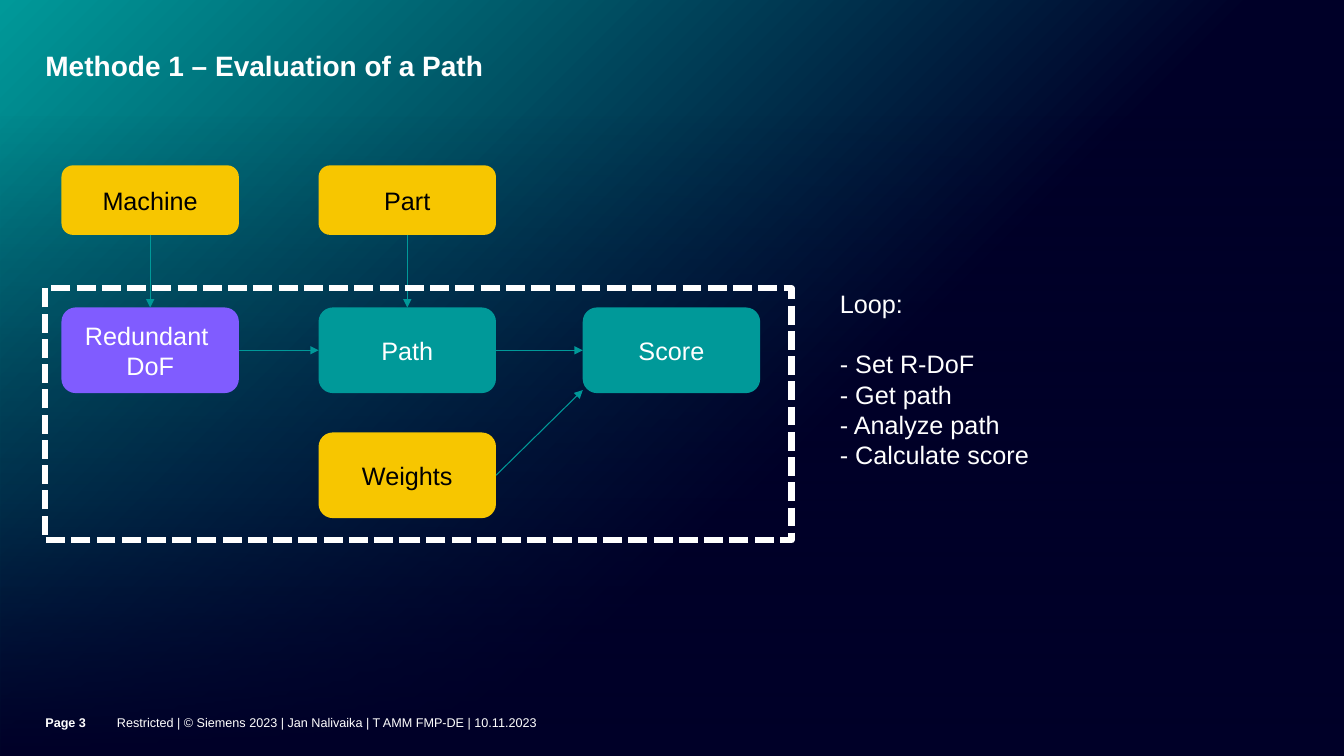
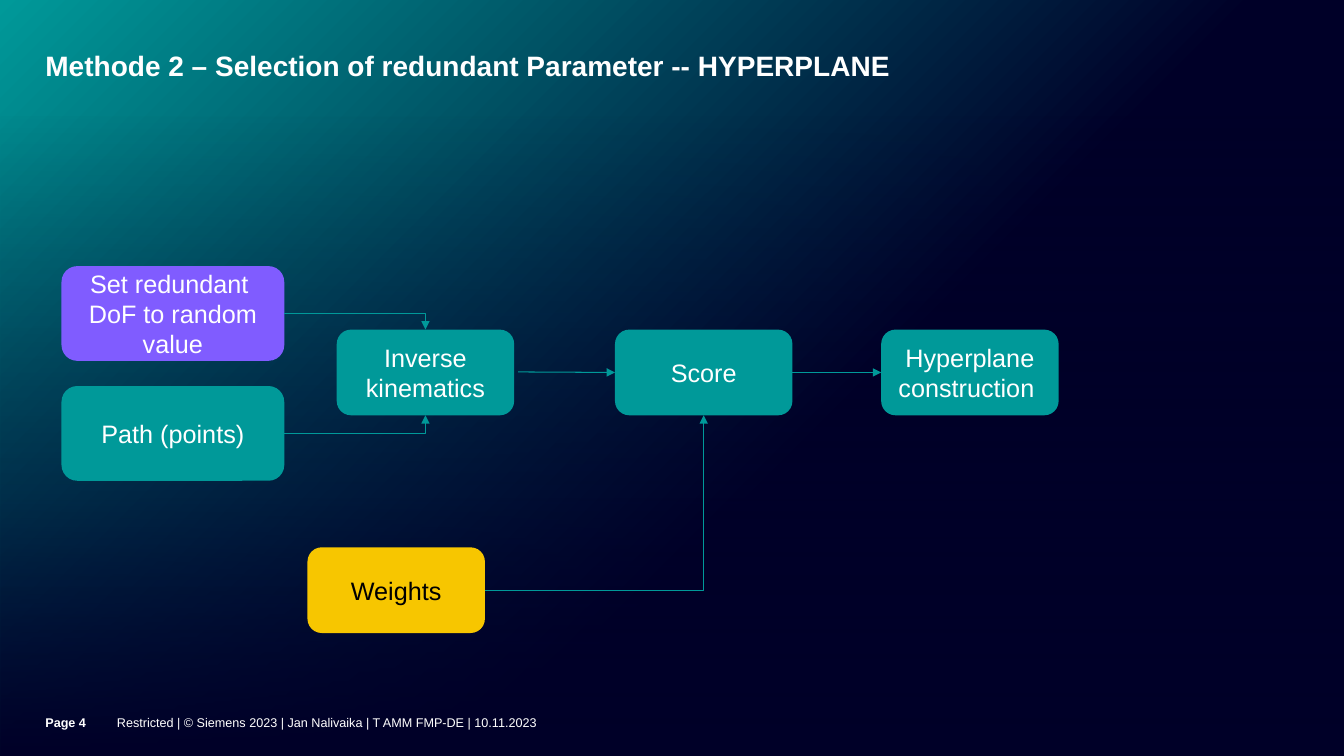
from lxml.etree import SubElement, fromstring
from pptx import Presentation
from pptx.dml.color import RGBColor
from pptx.enum.dml import MSO_LINE
from pptx.enum.shapes import MSO_CONNECTOR, MSO_SHAPE
from pptx.enum.text import MSO_ANCHOR, MSO_AUTO_SIZE, PP_ALIGN
from pptx.oxml.ns import nsdecls, qn
from pptx.util import Inches, Pt

NIGHT, TEAL, VIOLET, YELLOW = "000028", "009999", "805CFF", "F7C600"
WHITE, BLACK = "FFFFFF", "000000"
TOP, LEFT, BOTTOM, RIGHT = range(4)
FOOTER = "Restricted | © Siemens 2023 | Jan Nalivaika | T AMM FMP-DE | 10.11.2023"


def color(value):
    """Turn a hex string into a colour."""
    return RGBColor.from_string(value)


def inches(*lengths):
    """Turn plain numbers into lengths."""
    return [Inches(length) for length in lengths]


def set_gradient(fill, element, stops, direction):
    """Fill with (position, colour, opacity) stops in per cent."""
    fill.gradient()
    stop_list = "".join(
        f'<a:gs pos="{position * 1000}"><a:srgbClr val="{tone}">'
        f'<a:alpha val="{opacity * 1000}"/></a:srgbClr></a:gs>'
        for position, tone, opacity in stops)
    gradient = fromstring(
        f'<a:gradFill {nsdecls("a")} rotWithShape="1">'
        f'<a:gsLst>{stop_list}</a:gsLst>{direction}</a:gradFill>')
    default = element.find(".//" + qn("a:gradFill"))
    default.getparent().replace(default, gradient)


class Deck:
    """Hold the shared style and the current slide."""

    def __init__(self):
        """Start a wide presentation with the shared background."""
        self.presentation = Presentation()
        self.presentation.slide_width = Inches(13.33)
        self.presentation.slide_height = Inches(7.5)
        self.slide = None
        master = self.presentation.slide_master
        set_gradient(
            master.background.fill, master.element,
            [(40, NIGHT, 100), (100, TEAL, 100)],
            '<a:path path="circle"><a:fillToRect l="100000" t="100000"/></a:path>')

    def new_slide(self, title, page):
        """Add a slide with its title, dark veil and footer."""
        self.slide = self.presentation.slides.add_slide(
            self.presentation.slide_layouts[5])
        heading = self.slide.shapes.title
        heading.left, heading.top, heading.width, heading.height = inches(
            0.45, 0.52, 10.79, 0.63)
        self.fill_text(heading, [title], 20, bold=True, insets=(0, 0, 0.35, 0.02))
        heading.text_frame.paragraphs[0].line_spacing = 0.9
        veil = self.shape(MSO_SHAPE.RECTANGLE, 0, 1.15, 13.33, 6.35)
        set_gradient(
            veil.fill, veil.element,
            [(0, NIGHT, 100), (40, NIGHT, 50), (100, NIGHT, 0)],
            '<a:lin ang="16200000" scaled="0"/>')
        for left, width, line, bold in ((1.16, 10.08, FOOTER, False),
                                        (0.45, 0.71, f"Page {page}", True)):
            self.text(left, 6.9, width, 0.6, [line], size=9, bold=bold,
                      anchor=MSO_ANCHOR.MIDDLE, insets=(0, 0, 0, 0.07))

    def fill_text(self, holder, lines, size, tone=WHITE, bold=False,
                  align=PP_ALIGN.LEFT, anchor=MSO_ANCHOR.TOP, insets=(0, 0, 0, 0)):
        """Put one paragraph per line into a shape."""
        frame = holder.text_frame
        frame.word_wrap = True
        frame.auto_size = MSO_AUTO_SIZE.NONE
        frame.vertical_anchor = anchor
        (frame.margin_left, frame.margin_top,
         frame.margin_right, frame.margin_bottom) = inches(*insets)
        for index, line in enumerate(lines):
            paragraph = frame.add_paragraph() if index else frame.paragraphs[0]
            paragraph.alignment = align
            run = paragraph.add_run()
            run.text = line
            run.font.name = "Arial"
            run.font.size = Pt(size)
            run.font.bold = bold
            run.font.color.rgb = color(tone)
        return frame

    def text(self, left, top, width, height, lines, size=18, **style):
        """Add a text box."""
        box = self.slide.shapes.add_textbox(*inches(left, top, width, height))
        return self.fill_text(box, lines, size, **style)

    def shape(self, preset, *place):
        """Add a plain shape without line or shadow."""
        shape = self.slide.shapes.add_shape(preset, *inches(*place))
        shape.shadow.inherit = False
        shape.line.fill.background()
        return shape

    def step(self, left, top, *lines, fill=TEAL, width=1.76, height=0.85):
        """Add a rounded box of the flow."""
        step = self.shape(MSO_SHAPE.ROUNDED_RECTANGLE, left, top, width, height)
        step.fill.solid()
        step.fill.fore_color.rgb = color(fill)
        self.fill_text(step, lines, 18, tone=BLACK if fill == YELLOW else WHITE,
                       align=PP_ALIGN.CENTER, anchor=MSO_ANCHOR.MIDDLE,
                       insets=(0.12, 0.08, 0.12, 0.08))
        return step

    def frame(self, *place):
        """Add a dashed outline."""
        outline = self.shape(MSO_SHAPE.RECTANGLE, *place)
        outline.fill.background()
        outline.line.color.rgb = color(WHITE)
        outline.line.width = Pt(4.5)
        outline.line.dash_style = MSO_LINE.SQUARE_DOT

    def arrow(self, start=None, end=None, points=(0, 0, 0, 0), elbow=False):
        """Add an arrow between (step, side) pairs or free points."""
        kind = MSO_CONNECTOR.ELBOW if elbow else MSO_CONNECTOR.STRAIGHT
        arrow = self.slide.shapes.add_connector(kind, *inches(*points))
        if start:
            arrow.begin_connect(*start)
        if end:
            arrow.end_connect(*end)
        arrow.line.color.rgb = color(TEAL)
        arrow.line.width = Pt(0.75)
        properties = arrow.element.spPr
        if elbow:
            properties.find(qn("a:prstGeom")).set("prst", "bentConnector2")
        SubElement(properties.find(qn("a:ln")), qn("a:tailEnd"), type="triangle")
        SubElement(properties, qn("a:effectLst"))


def evaluation_slide(deck):
    """Show how a path is evaluated."""
    deck.new_slide("Methode 1 – Evaluation of a Path", 3)
    machine = deck.step(0.61, 1.64, "Machine", fill=YELLOW, height=0.69)
    part = deck.step(3.16, 1.64, "Part", fill=YELLOW, height=0.69)
    redundancy = deck.step(0.61, 3.05, "Redundant ", "DoF", fill=VIOLET)
    path_step = deck.step(3.16, 3.05, "Path")
    score = deck.step(5.78, 3.05, "Score")
    weights = deck.step(3.16, 4.29, "Weights", fill=YELLOW)
    for source, target in ((machine, redundancy), (part, path_step)):
        deck.arrow((source, BOTTOM), (target, TOP))
    for source, target in ((redundancy, path_step), (path_step, score)):
        deck.arrow((source, RIGHT), (target, LEFT))
    deck.frame(0.45, 2.86, 7.4, 2.5)
    deck.arrow((weights, RIGHT), points=(4.92, 4.71, 5.78, 3.87))
    loop = deck.text(8.33, 2.86, 3.11, 1.82, [
        "Loop:", "- Set R-DoF", "- Get path", "- Analyze path",
        "- Calculate score"])
    loop.auto_size = MSO_AUTO_SIZE.SHAPE_TO_FIT_TEXT
    loop.paragraphs[1].space_before = Pt(21.6)


def hyperplane_slide(deck):
    """Show how the redundant parameter is selected."""
    deck.new_slide("Methode 2 – Selection of redundant Parameter -- HYPERPLANE", 4)
    redundancy = deck.step(0.61, 2.64, "Set redundant ", "DoF to random value",
                           fill=VIOLET, width=2.21, height=0.94)
    path_points = deck.step(0.61, 3.83, "Path (points)", width=2.21, height=0.94)
    kinematics = deck.step(3.34, 3.27, "Inverse kinematics")
    score = deck.step(6.1, 3.27, "Score")
    hyperplane = deck.step(8.74, 3.27, "Hyperplane construction ")
    weights = deck.step(3.05, 5.43, "Weights", fill=YELLOW)
    for source, target, side in ((redundancy, kinematics, TOP),
                                 (path_points, kinematics, BOTTOM),
                                 (weights, score, BOTTOM)):
        deck.arrow((source, RIGHT), (target, side), elbow=True)
    deck.arrow(end=(score, LEFT), points=(5.14, 3.69, 6.1, 3.69))
    deck.arrow((score, RIGHT), (hyperplane, LEFT))


def main():
    """Build and save the presentation."""
    deck = Deck()
    evaluation_slide(deck)
    hyperplane_slide(deck)
    deck.presentation.save("out.pptx")


if __name__ == "__main__":
    main()
